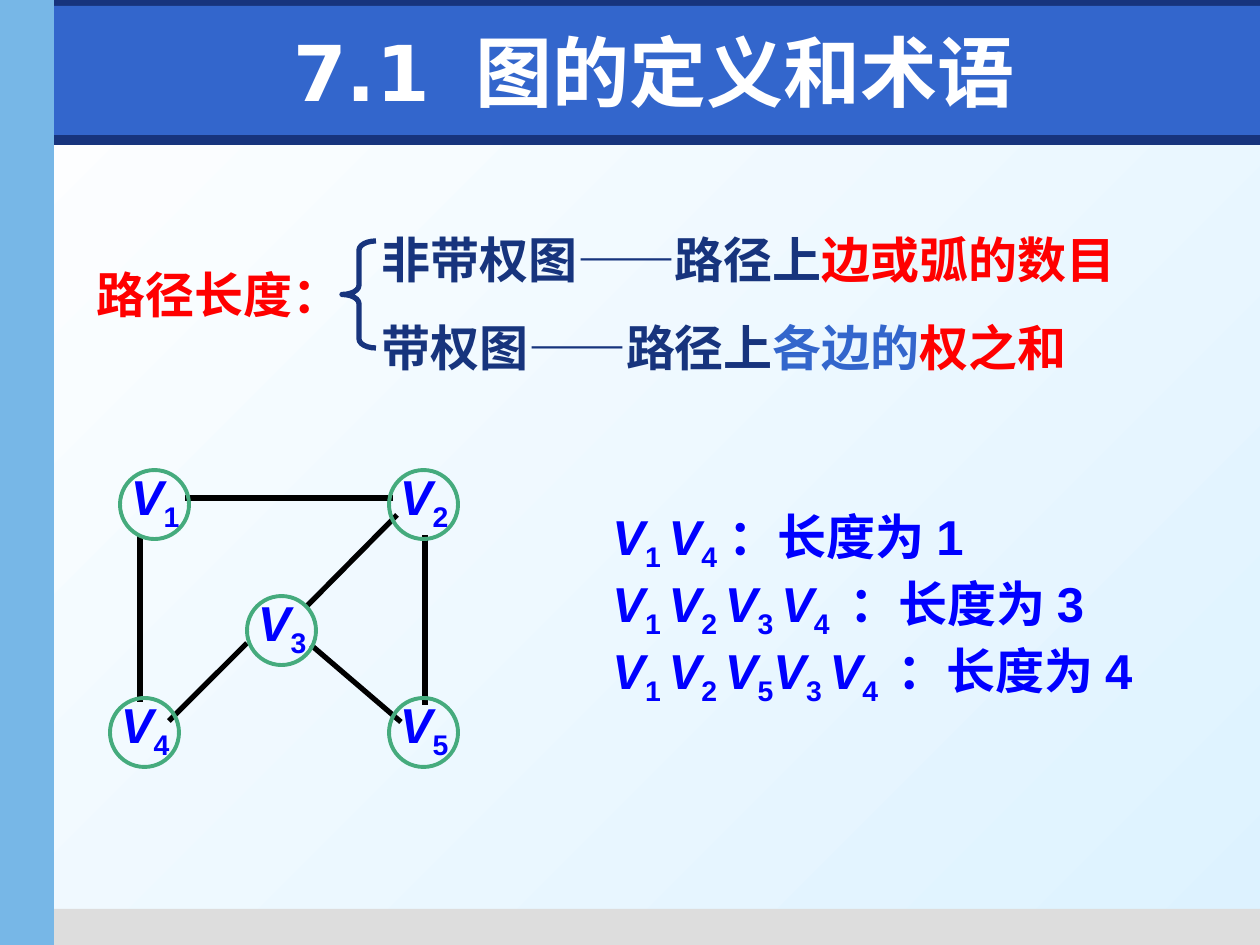
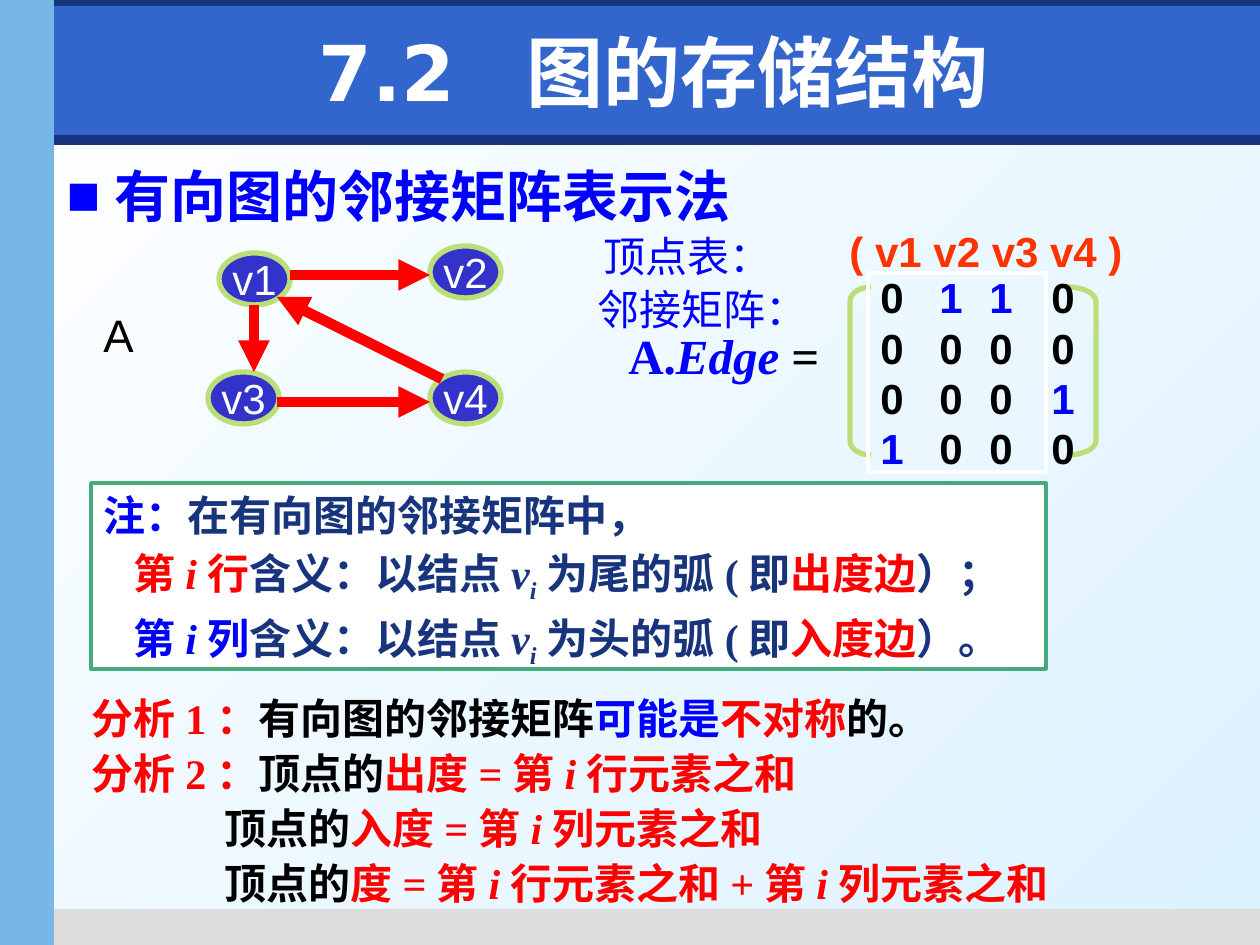
from dataclasses import dataclass

from lxml.etree import SubElement
from pptx import Presentation
from pptx.dml.color import RGBColor
from pptx.enum.shapes import MSO_CONNECTOR, MSO_SHAPE as SHAPE
from pptx.enum.text import MSO_ANCHOR as ANCHOR, PP_ALIGN as ALIGN
from pptx.oxml.ns import qn
from pptx.util import Emu, Inches, Pt

SCALE = Inches(1) / 126


@dataclass(frozen=True)
class Theme:
    navy: str = "17347D"
    royal: str = "3366CC"
    sky: str = "77B7E7"
    grey: str = "DDDDDD"
    pale: str = "DDF2FF"
    white: str = "FFFFFF"
    black: str = "000000"
    red: str = "FF0000"
    orange: str = "FF3300"
    blue: str = "0000FF"
    indigo: str = "3333CC"
    green: str = "45AB7D"
    lime: str = "BADE78"
    sans: str = "Arial"
    serif: str = "Times New Roman"
    cjk: str = "Noto Sans CJK SC"
    display: str = "DejaVu Sans"
    title: int = 44
    heading: int = 32
    large: int = 28
    letter: int = 26
    text: int = 24


T = Theme()
TITLE = dict(name=T.display, size=T.title, color=T.white, bold=True)
HEADING = dict(name=T.sans, size=T.heading, color=T.blue, bold=True)
LARGE = dict(name=T.sans, size=T.large, color=T.blue, bold=True)
LABEL = dict(name=T.sans, size=T.text, color=T.blue)
NOTE = dict(name=T.serif, size=T.text, color=T.navy, bold=True)


def px(n):
    return Emu(round(n * SCALE))


def rgb(value):
    return RGBColor.from_string(value)


def run(text, color=None, **fmt):
    if color:
        fmt["color"] = color
    return text, fmt


def sub(text, **fmt):
    return run(text, baseline="-25000", **fmt)


def add_run(p, text, fmt):
    r = p.add_run()
    r.text = text
    rPr = r._r.get_or_add_rPr()
    for key, value in fmt.items():
        if key == "color":
            r.font.color.rgb = rgb(value)
        elif key in ("baseline", "spc"):
            rPr.set(key, value)
        else:
            setattr(r.font, key, Pt(value) if key == "size" else value)
    SubElement(rPr, qn("a:ea")).set("typeface", T.cjk)


def write(tf, paragraphs, base, gap=None, **pfmt):
    for i, runs in enumerate(paragraphs):
        p = tf.paragraphs[0] if i == 0 else tf.add_paragraph()
        for key, value in pfmt.items():
            setattr(p, key, value)
        if i and gap:
            p.space_before = gap
        for text, fmt in runs:
            add_run(p, text, {**base, **fmt})
    return tf


def indent(p, left, first=0):
    pPr = p._p.get_or_add_pPr()
    pPr.set("marL", str(px(left)))
    pPr.set("indent", str(px(first)))
    return pPr


def add_text(slide, box, paragraphs, base, insets=None, **pfmt):
    tf = slide.shapes.add_textbox(*map(px, box)).text_frame
    tf.word_wrap = True
    set_insets(tf, insets or {})
    return write(tf, paragraphs, base, **pfmt)


def set_insets(tf, insets):
    for side, value in insets.items():
        setattr(tf, f"margin_{side}", px(value))


def add_shape(slide, kind, box, fill=None, line=None, width=1, adj=()):
    sp = slide.shapes.add_shape(kind, *map(px, box))
    sp.shadow.inherit = False
    for i, value in enumerate(adj):
        sp.adjustments[i] = value
    if fill:
        sp.fill.solid()
        sp.fill.fore_color.rgb = rgb(fill)
    else:
        sp.fill.background()
    if line:
        sp.line.color.rgb = rgb(line)
        sp.line.width = Pt(width)
    else:
        sp.line.fill.background()
    return sp


def add_line(slide, ends, color, width, arrow=False):
    cx = slide.shapes.add_connector(MSO_CONNECTOR.STRAIGHT, *map(px, ends))
    cx.line.color.rgb = rgb(color)
    cx.line.width = Pt(width)
    spPr = cx.element.spPr
    if arrow:
        SubElement(spPr.find(qn("a:ln")), qn("a:tailEnd")).set("type", "triangle")
    SubElement(spPr, qn("a:effectLst"))


def place(sp, box):
    for key, value in zip(("left", "top", "width", "height"), box):
        setattr(sp, key, px(value))
    return sp.text_frame


def set_title(slide, number, text, spc="0"):
    tf = place(slide.shapes.title, (74, 16, 1160, 110))
    tf.vertical_anchor = ANCHOR.MIDDLE
    runs = [run(number), run(" ", spc=spc), run(text)]
    write(tf, [runs], TITLE, alignment=ALIGN.CENTER)


def style_master(prs, slide):
    master = prs.slide_master
    fill = master.background.fill
    fill.gradient()
    fill.gradient_angle = 315
    for stop, color in zip(fill.gradient_stops, (T.white, T.pale)):
        stop.color.rgb = rgb(color)
    bands = [
        ((54, 135, 1206, 10), T.navy),
        ((44, 909, 1216, 36), T.grey),
        ((0, 0, 1260, 26), T.navy),
        ((54, 6, 1206, 129), T.royal),
        ((0, 0, 54, 945), T.sky),
    ]
    for i, (box, color) in enumerate(bands):
        el = add_shape(slide, SHAPE.RECTANGLE, box, color).element
        el.nvSpPr.cNvPr.id = 20 + i
        master.shapes.element.insert(2 + i, el)


def add_vertex(slide, number, x, y):
    add_shape(slide, SHAPE.OVAL, (x, y, 69, 69), line=T.green, width=2.25)
    add_text(slide, (x + 10, y - 8, 64, 82),
             [[run("V", italic=True), sub(number)]], LARGE,
             insets=dict(left=1, top=4, right=0, bottom=1), line_spacing=px(67))


def path_runs(numbers, length):
    runs = []
    for number in numbers:
        runs += [run("V", italic=True), sub(number)]
    return runs + [run(f"：长度为{length}")]


def add_undirected_graph(slide):
    edges = [
        (185, 498, 393, 498), (397, 515, 306, 607), (247, 643, 169, 721),
        (425, 535, 425, 705), (311, 645, 401, 722), (140, 535, 140, 702),
    ]
    for ends in edges:
        add_line(slide, ends, T.black, 3)
    vertices = [(120, 470), (389, 470), (247, 596), (110, 698), (389, 698)]
    for i, (x, y) in enumerate(vertices, 1):
        add_vertex(slide, str(i), x, y)


def build_path_length(slide):
    set_title(slide, "7.1", "图的定义和术语")
    add_text(slide, (84, 258, 260, 79), [[run("路径长度：", T.red)]], LARGE)
    dash = run("——", name=T.cjk)
    add_text(slide, (369, 194, 790, 179), [
        [run("非带权图"), dash, run("路径上"), run("边或弧的数目", T.red)],
        [run("带权图"), dash, run("路径上"), run("各边的", T.royal), run("权之和", T.red)],
    ], {**LARGE, "color": T.navy}, line_spacing=px(88))
    add_shape(slide, SHAPE.LEFT_BRACE, (342, 241, 34, 107), line=T.navy, width=3,
              adj=(0.27, 0.5))
    add_undirected_graph(slide)
    add_text(slide, (600, 500, 560, 213), [
        path_runs(["1 ", "4"], 1),
        path_runs(["1 ", "2 ", "3 ", "4 "], 3),
        path_runs(["1 ", "2 ", "5", "3 ", "4 "], 4),
    ], LARGE, line_spacing=px(67))


def add_directed_graph(slide):
    nodes = [("v1", 219, 253), ("v2", 430, 246), ("v3", 208, 372), ("v4", 430, 372)]
    for name, x, y in nodes:
        tf = add_shape(slide, SHAPE.OVAL, (x, y, 71, 52), T.indigo, T.lime, 3).text_frame
        tf.word_wrap = False
        tf.vertical_anchor = ANCHOR.MIDDLE
        write(tf, [[run(name, T.white)]], LABEL, alignment=ALIGN.CENTER)
    arcs = [(290, 275, 430, 275), (254, 305, 254, 372),
            (277, 402, 430, 402), (442, 379, 277, 297)]
    for ends in arcs:
        add_line(slide, ends, T.red, 6, arrow=True)
    add_text(slide, (91, 301, 70, 67), [[run("A")]],
             dict(name=T.sans, size=T.letter, color=T.black))


def add_matrix(slide):
    bold = {**LABEL, "bold": True}
    add_text(slide, (591, 224, 215, 63), [[run("顶点表：")]], LABEL)
    add_text(slide, (585, 277, 250, 63), [[run("邻接矩阵：")]], {**LABEL, "name": T.serif})
    add_text(slide, (616, 319, 230, 72),
             [[run("A."), run("Edge", italic=True), run(" =", T.black)]],
             {**LARGE, "name": T.serif})
    add_shape(slide, SHAPE.LEFT_BRACKET, (850, 287, 21, 168), line=T.lime, width=3, adj=(0.67,))
    add_shape(slide, SHAPE.RIGHT_BRACKET, (1067, 287, 29, 168), line=T.lime, width=3, adj=(0.49,))
    tf = add_shape(slide, SHAPE.RECTANGLE, (868, 273, 178, 199), line=T.white, width=2).text_frame
    tf.word_wrap = False
    tf.vertical_anchor = ANCHOR.MIDDLE
    rows = [[run(("\t" if i else "") + digit, T.blue if digit == "1" else T.black)
             for i, digit in enumerate(row)]
            for row in ("0110", "0000", "0001", "1000")]
    write(tf, rows, bold, alignment=ALIGN.LEFT, line_spacing=1.0)
    for p in tf.paragraphs:
        tabs = SubElement(p._p.get_or_add_pPr(), qn("a:tabLst"))
        for pos in (59, 109, 171):
            tab = SubElement(tabs, qn("a:tab"))
            tab.set("pos", str(px(pos)))
            tab.set("algn", "l")
    add_text(slide, (837, 219, 310, 60), [[run("( v1 v2 v3 v4 )", T.orange)]], bold)


def meaning_runs(color, line, end, degree):
    return [run("第", color), run("i", color, italic=True), run(line, color),
            run("含义：以结点"), run("v", italic=True), sub("i", italic=True),
            run(f"为{end}的弧(即"), run(degree, T.red),
            run("）；" if end == "尾" else "）。")]


def add_note(slide):
    tf = add_shape(slide, SHAPE.RECTANGLE, (91, 483, 955, 186), T.white, T.green, 2).text_frame
    tf.word_wrap = True
    tf.vertical_anchor = ANCHOR.TOP
    set_insets(tf, dict(top=1))
    write(tf, [
        [run("注：", T.blue), run("在有向图的邻接矩阵中，")],
        meaning_runs(T.red, "行", "尾", "出度边"),
        meaning_runs(T.blue, "列", "头", "入度边"),
    ], NOTE, gap=Pt(5), alignment=ALIGN.LEFT, line_spacing=px(56))
    for p in tf.paragraphs[1:]:
        indent(p, 30)


def sum_runs(degree, *lines):
    runs = [run("顶点的", T.black), run(degree + "=")]
    for i, line in enumerate(lines):
        runs += [run("+第" if i else "第"), run("i", italic=True), run(line + "元素之和")]
    return runs


def add_analysis(slide):
    tf = add_text(slide, (79, 682, 1126, 240), [
        [run("分析1："), run("有向图的邻接矩阵", T.black), run("可能是", T.blue),
         run("不对称"), run("的。", T.black)],
        [run("分析2：")] + sum_runs("出度", "行"),
        sum_runs("入度", "列"),
        sum_runs("度", "行", "列"),
    ], {**NOTE, "color": T.red}, line_spacing=px(55))
    for p in tf.paragraphs[2:]:
        indent(p, 133)


def build_adjacency_matrix(slide):
    set_title(slide, "7.2", "图的存储结构", spc="1500")
    tf = place(slide.placeholders[1], (54, 155, 1181, 90))
    pPr = indent(tf.paragraphs[0], 48, -48)
    color = SubElement(SubElement(pPr, qn("a:buClr")), qn("a:srgbClr"))
    color.set("val", T.blue)
    SubElement(pPr, qn("a:buChar")).set("char", "■")
    write(tf, [[run("有向图的邻接矩阵表示法")]], HEADING)
    add_directed_graph(slide)
    add_matrix(slide)
    add_analysis(slide)
    add_note(slide)


def main():
    prs = Presentation()
    prs.slide_width, prs.slide_height = px(1260), px(945)
    path_slide = prs.slides.add_slide(prs.slide_layouts[5])
    style_master(prs, path_slide)
    build_path_length(path_slide)
    build_adjacency_matrix(prs.slides.add_slide(prs.slide_layouts[1]))
    prs.save("out.pptx")


if __name__ == "__main__":
    main()
